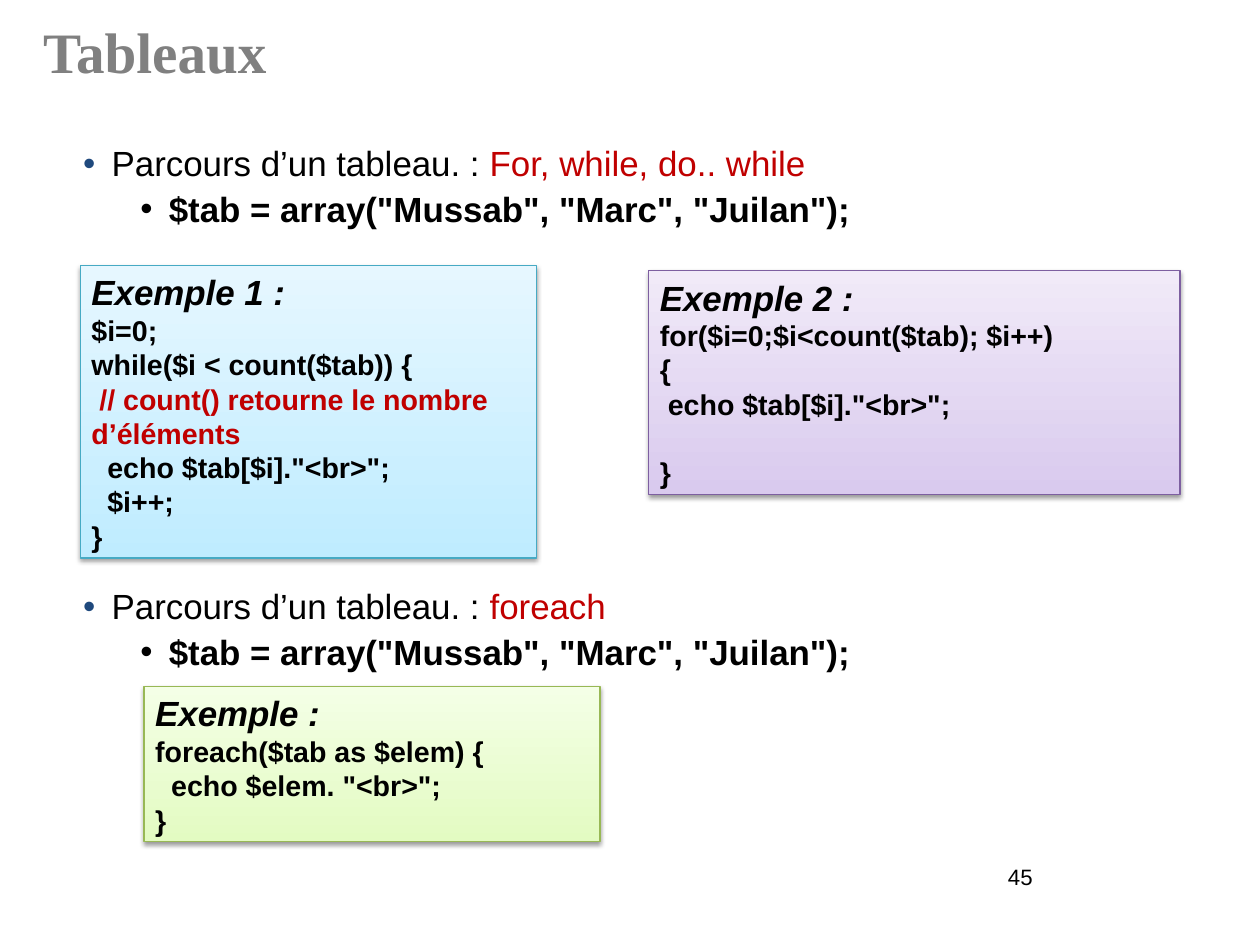
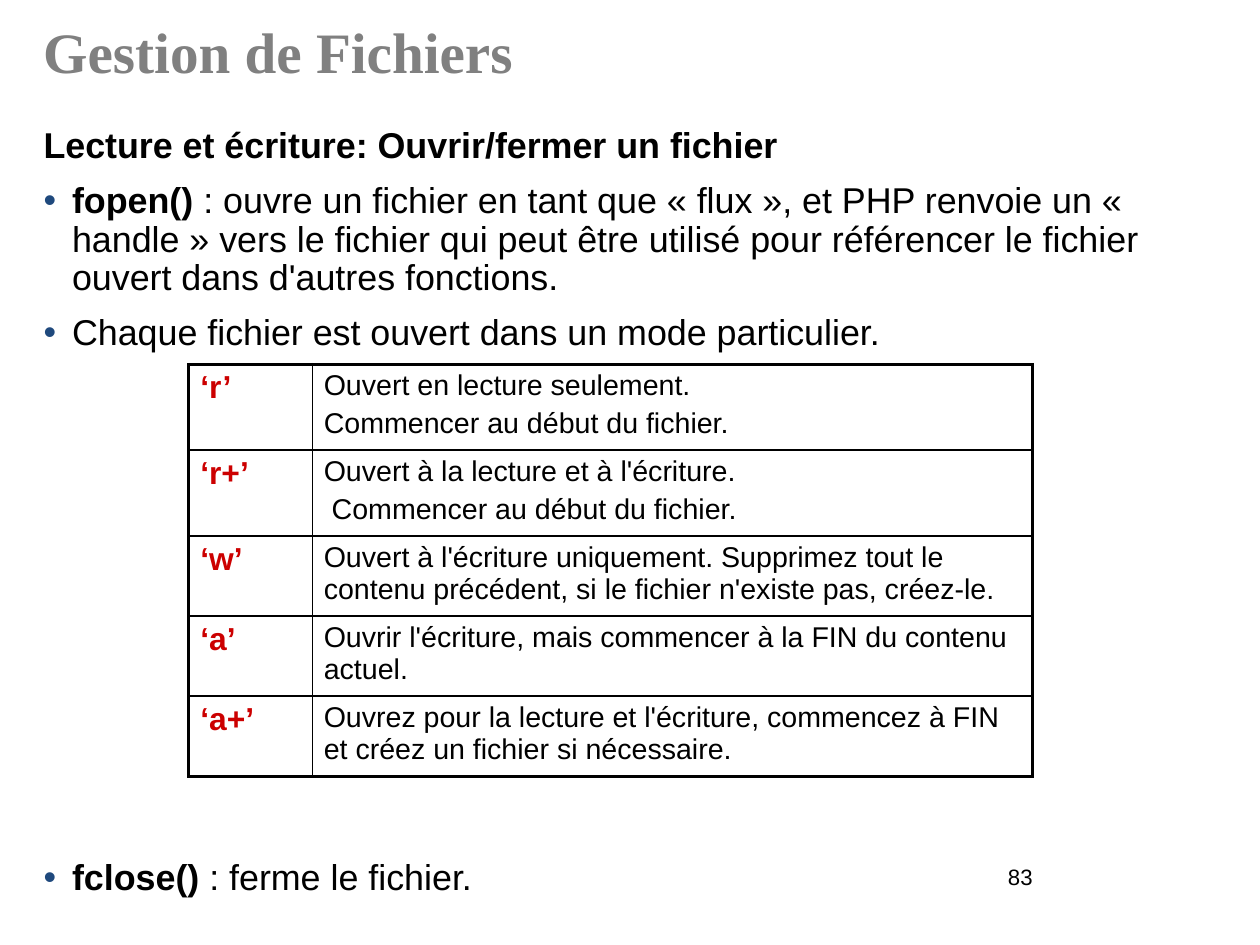
from dataclasses import dataclass

from lxml.etree import SubElement
from pptx import Presentation
from pptx.dml.color import RGBColor
from pptx.enum.shapes import MSO_SHAPE
from pptx.enum.text import MSO_ANCHOR, PP_ALIGN
from pptx.oxml.ns import qn
from pptx.slide import Slide
from pptx.table import _Cell
from pptx.text.text import TextFrame, _Paragraph
from pptx.util import Pt

# Shared style
BLACK, GREY, RED, MODE_RED, NAVY = "000000", "808080", "C00000", "CC0000", "1F497D"
BODY_FONT, TITLE_FONT = "Arial", "Times New Roman"
SPACE_WIDTH = 5  # one space of 18 pt code
THIN, THICK = 0.96, 2.21


@dataclass(frozen=True)
class Span:
    text: str
    bold: bool = False
    color: str = BLACK


@dataclass(frozen=True)
class Line:
    spans: tuple[Span, ...]
    bullet: str = ""  # bullet colour
    left: float = 0
    before: float = 10


@dataclass(frozen=True)
class CodeLine:
    text: str
    spaces: int = 0
    color: str = BLACK
    before: float = 0


@dataclass(frozen=True)
class Example:
    box: tuple[float, float, float, float]
    bottom: str
    top: str
    outline: str
    heading: str
    code: tuple[CodeLine, ...]


@dataclass(frozen=True)
class Mode:
    name: str
    height: float
    effects: tuple[CodeLine, ...]


def rgb(value: str) -> RGBColor:
    return RGBColor.from_string(value)


# Text
def write(paragraph: _Paragraph, text: str, *, size: float, color: str = BLACK,
          bold: bool = False, italic: bool = False, font: str = BODY_FONT) -> None:
    run = paragraph.add_run()
    run.text = text
    run.font.name, run.font.size = font, Pt(size)
    run.font.bold, run.font.italic = bold, italic
    run.font.color.rgb = rgb(color)


def next_paragraph(frame: TextFrame, *, before: float = 0, spacing: float = 1,
                   left: float = 0, indent: float = 0) -> _Paragraph:
    first = frame.paragraphs[0]
    paragraph = frame.add_paragraph() if first.runs else first
    paragraph.alignment = PP_ALIGN.LEFT
    paragraph.line_spacing, paragraph.space_before = spacing, Pt(before)
    properties = paragraph._p.get_or_add_pPr()
    properties.set("marL", str(Pt(left)))
    properties.set("indent", str(Pt(indent)))
    return paragraph


def set_bullet(paragraph: _Paragraph, color: str) -> None:
    properties = paragraph._p.get_or_add_pPr()
    SubElement(SubElement(properties, qn("a:buClr")), qn("a:srgbClr"), val=color)
    SubElement(properties, qn("a:buFont"), typeface=BODY_FONT)
    SubElement(properties, qn("a:buChar"), char="•")


def set_insets(frame: TextFrame, horizontal: float, vertical: float) -> None:
    frame.word_wrap = True
    frame.margin_left = frame.margin_right = Pt(horizontal)
    frame.margin_top = frame.margin_bottom = Pt(vertical)


def add_lines(slide: Slide, box: tuple[float, float, float, float],
              lines: tuple[Line, ...], size: float) -> None:
    frame = slide.shapes.add_textbox(*map(Pt, box)).text_frame
    set_insets(frame, 0, 0)
    for line in lines:
        paragraph = next_paragraph(frame, before=line.before, spacing=0.9, left=line.left,
                                   indent=-18 if line.bullet else 0)
        if line.bullet:
            set_bullet(paragraph, line.bullet)
        for span in line.spans:
            write(paragraph, span.text, size=size, color=span.color, bold=span.bold)


def write_code(frame: TextFrame, code: tuple[CodeLine, ...], *, bold: bool,
               before: float = 0) -> None:
    for line in code:
        paragraph = next_paragraph(frame, before=before + line.before,
                                   indent=line.spaces * SPACE_WIDTH)
        write(paragraph, line.text, size=18, color=line.color, bold=bold)


# Slide frame: title and page number
def add_page(title: str, number: int) -> Slide:
    slide = deck.slides.add_slide(deck.slide_layouts.get_by_name("Title Only"))
    heading = slide.shapes.title
    heading.left, heading.top, heading.width, heading.height = map(Pt, (27.2, 8.6, 738, 51.8))
    set_insets(heading.text_frame, 0, 0)
    heading.text_frame.vertical_anchor = MSO_ANCHOR.MIDDLE
    write(next_paragraph(heading.text_frame, spacing=0.9), title, size=36, color=GREY,
          bold=True, font=TITLE_FONT)
    page = slide.shapes.add_textbox(*map(Pt, (472.7, 540.4, 185, 41))).text_frame
    set_insets(page, 7.2, 3.6)
    paragraph = next_paragraph(page)
    paragraph.alignment = PP_ALIGN.RIGHT
    write(paragraph, str(number), size=14)
    return slide


# Code example boxes
def add_example(slide: Slide, example: Example) -> None:
    box = slide.shapes.add_shape(MSO_SHAPE.RECTANGLE, *map(Pt, example.box))
    box.fill.gradient()
    box.fill.gradient_angle = 90
    for stop, color in zip(box.fill.gradient_stops, (example.bottom, example.top)):
        stop.color.rgb = rgb(color)
    box.line.color.rgb, box.line.width = rgb(example.outline), Pt(0.75)
    box.shadow.inherit = False
    effects = box._element.spPr.find(qn("a:effectLst"))
    shadow = SubElement(effects, qn("a:outerShdw"), blurRad=str(Pt(3.1)),
                        dist=str(Pt(1.6)), dir="5400000", rotWithShape="0")
    tint = SubElement(shadow, qn("a:srgbClr"), val=BLACK)
    SubElement(tint, qn("a:alpha"), val="38000")
    frame = box.text_frame
    set_insets(frame, 7.2, 3.6)
    frame.vertical_anchor = MSO_ANCHOR.TOP
    write(next_paragraph(frame), example.heading, size=22, bold=True, italic=True)
    write_code(frame, example.code, bold=True)


# Table of file modes
def set_borders(cell: _Cell, widths: dict[str, float]) -> None:
    properties = cell._tc.get_or_add_tcPr()
    for side in "LRTB":
        edge = SubElement(properties, qn(f"a:ln{side}"), w=str(Pt(widths[side])))
        SubElement(SubElement(edge, qn("a:solidFill")), qn("a:srgbClr"), val=BLACK)
    cell.fill.background()


def add_modes(slide: Slide, modes: tuple[Mode, ...]) -> None:
    widths = (77.8, 453.6)
    table = slide.shapes.add_table(len(modes), 2, Pt(119), Pt(229.5), Pt(sum(widths)),
                                   Pt(sum(mode.height for mode in modes))).table
    table.first_row = table.horz_banding = False
    for column, width in zip(table.columns, widths):
        column.width = Pt(width)
    last = len(modes) - 1
    for index, mode in enumerate(modes):
        table.rows[index].height = Pt(mode.height)
        name, effects = table.cell(index, 0), table.cell(index, 1)
        for cell in (name, effects):
            set_borders(cell, {"L": THICK if cell is name else THIN,
                               "R": THIN if cell is name else THICK,
                               "T": THICK if index == 0 else THIN,
                               "B": THICK if index == last else THIN})
        write(next_paragraph(name.text_frame, before=4), mode.name, size=20,
              color=MODE_RED, bold=True)
        write_code(effects.text_frame, mode.effects, bold=False, before=3.6)


deck = Presentation()
deck.slide_width, deck.slide_height = Pt(793.75), Pt(595.25)

# Slide 1: looping over arrays
arrays = add_page("Tableaux", 45)
for top, loops in ((92.2, "For, while, do.. while"), (371.3, "foreach")):
    add_lines(arrays, (52.4, top, 688.3, 74.9), (
        Line((Span("Parcours d’un tableau. : "), Span(loops, color=RED)), NAVY, 18),
        Line((Span('$tab = array("Mussab", "Marc", "Juilan");', bold=True),), BLACK, 54, 5),
    ), 22)

EXAMPLES = (
    Example((50.5, 167.2, 287.3, 184.3), "BFECFF", "E6F7FF", "46AAC4", "Exemple 1 :", (
        CodeLine("$i=0;"),
        CodeLine("while($i < count($tab)) {"),
        CodeLine("// count() retourne le nombre d’éléments", 1, RED),
        CodeLine('echo $tab[$i]."<br>";', 2),
        CodeLine("$i++;", 2),
        CodeLine("}"))),
    Example((408.6, 170.4, 334.8, 141.1), "D9CAEE", "F1EAF8", "7D5FA0", "Exemple 2 :", (
        CodeLine("for($i=0;$i<count($tab); $i++)"),
        CodeLine("{"),
        CodeLine('echo $tab[$i]."<br>";', 1),
        CodeLine("}", before=21.6))),
    Example((90.7, 432.4, 287.3, 97.9), "E3FBC2", "F4FFE6", "98B855", "Exemple :", (
        CodeLine("foreach($tab as $elem) {"),
        CodeLine('echo $elem. "<br>";', 2),
        CodeLine("}"))),
)
for example in EXAMPLES:
    add_example(arrays, example)

# Slide 2: opening and closing files
files = add_page("Gestion de Fichiers", 83)
add_lines(files, (27.4, 80.6, 738, 146), (
    Line((Span("Lecture et écriture: Ouvrir/fermer un fichier", bold=True),)),
    Line((Span("fopen() ", bold=True),
          Span(": ouvre un fichier en tant que « flux », et PHP renvoie un « handle » vers le "
               "fichier qui peut être utilisé pour référencer le fichier ouvert dans d'autres "
               "fonctions.")), NAVY, 18),
    Line((Span("Chaque fichier est ouvert dans un mode particulier."),), NAVY, 18),
), 22.6)
add_lines(files, (27.4, 541.5, 430, 28), (
    Line((Span("fclose() ", bold=True), Span(": ferme le fichier.")), NAVY, 18, 0),
), 22.6)
add_modes(files, (
    Mode("‘r’", 51.1, (CodeLine("Ouvert en lecture seulement."),
                       CodeLine("Commencer au début du fichier."))),
    Mode("‘r+’", 51.1, (CodeLine("Ouvert à la lecture et à l'écriture."),
                        CodeLine("Commencer au début du fichier.", 1))),
    Mode("‘w’", 47.5, (CodeLine("Ouvert à l'écriture uniquement. Supprimez tout le contenu "
                                "précédent, si le fichier n'existe pas, créez-le."),)),
    Mode("‘a’", 47.5, (CodeLine("Ouvrir l'écriture, mais commencer à la FIN du contenu "
                                "actuel."),)),
    Mode("‘a+’", 47.5, (CodeLine("Ouvrez pour la lecture et l'écriture, commencez à FIN et "
                                 "créez un fichier si nécessaire."),)),
))

deck.save("out.pptx")
